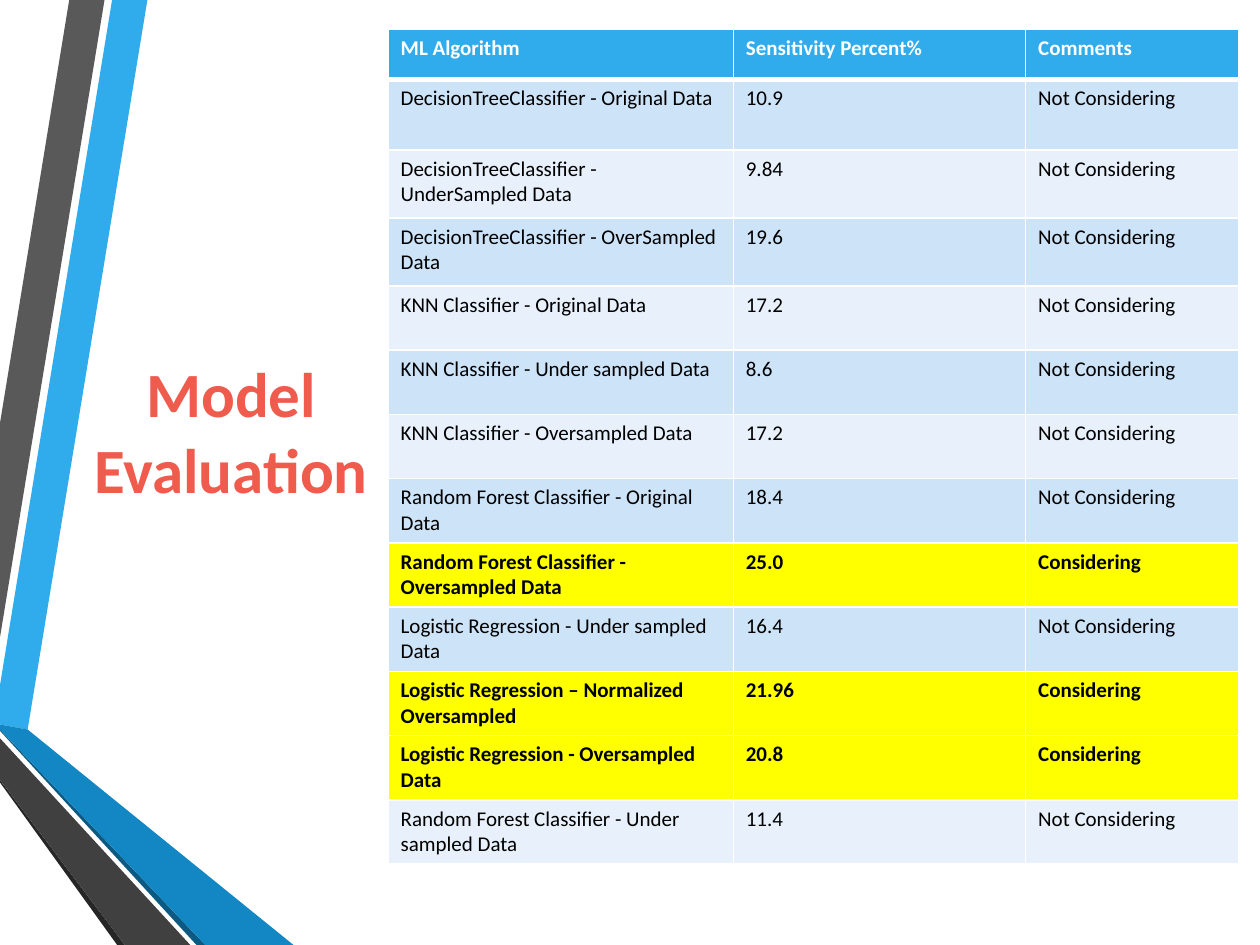
from dataclasses import dataclass
from typing import NamedTuple

from lxml.etree import SubElement
from pptx import Presentation
from pptx.dml.color import RGBColor
from pptx.enum.text import MSO_ANCHOR, PP_ALIGN
from pptx.oxml.ns import qn
from pptx.util import Inches, Pt


class Box(NamedTuple):
    left: float
    top: float
    width: float
    height: float


@dataclass(frozen=True)
class Theme:
    font: str = "Calibri"
    title_size: int = 36
    table_size: int = 12
    title: str = "EF5C4D"
    white: str = "FFFFFF"
    text: str = "000000"
    accent: str = "30ACEC"
    accent_dark: str = "1287C3"
    accent_shadow: str = "0C5A82"
    gray: str = "595959"
    gray_dark: str = "404040"
    gray_shadow: str = "262626"
    band_odd: str = "CDE3F8"
    band_even: str = "E8F1FB"
    highlight: str = "FFFF00"


THEME = Theme()
RIBBONS = [
    (THEME.accent, [(0, 5.44), (0, 5.75), (0.22, 5.79), (1.17, 0), (0.89, 0)]),
    (THEME.gray, [(0.83, 0), (0.55, 0), (0, 3.36), (0, 5.06)]),
    (THEME.gray_shadow, [(0, 6.19), (0, 6.21), (0.93, 7.5), (0.99, 7.5)]),
    (THEME.accent_shadow, [(0, 5.79), (0, 5.8), (1.56, 7.5), (1.63, 7.5)]),
    (THEME.accent_dark, [(0, 5.79), (1.63, 7.5), (2.33, 7.5), (0.22, 5.79), (0, 5.75)]),
    (THEME.gray_dark, [(0, 6.19), (0.99, 7.5), (1.51, 7.5), (0, 5.86)]),
]
HEADER = ("ML Algorithm", "Sensitivity Percent%", "Comments")
RESULTS = [
    ("DecisionTreeClassifier - Original Data", "10.9", False),
    ("DecisionTreeClassifier - UnderSampled Data", "9.84", False),
    ("DecisionTreeClassifier - OverSampled Data", "19.6", False),
    ("KNN Classifier - Original Data", "17.2", False),
    ("KNN Classifier - Under sampled Data", "8.6", False),
    ("KNN Classifier - Oversampled Data", "17.2", False),
    ("Random Forest Classifier - Original Data", "18.4", False),
    ("Random Forest Classifier - Oversampled Data", "25.0", True),
    ("Logistic Regression - Under sampled Data", "16.4", False),
    ("Logistic Regression – Normalized Oversampled", "21.96", True),
    ("Logistic Regression - Oversampled Data", "20.8", True),
    ("Random Forest Classifier - Under sampled Data", "11.4", False),
]
COLUMN_WIDTHS = (2.74, 2.32, 1.69)
ROW_HEIGHTS = [0.4, 0.56, 0.54, 0.54] + [0.51] * 9


def style_font(font, size, color, bold):
    """Apply the theme font with a size, colour and weight."""
    font.name = THEME.font
    font.size = Pt(size)
    font.bold = bold
    font.color.rgb = RGBColor.from_string(color)


def add_ribbons(slide, box):
    """Draw the folded ribbons from the top left corner of the box."""
    group = slide.shapes.add_group_shape()
    for color, points in RIBBONS:
        corners = [(Inches(box.left + x), Inches(box.top + y)) for x, y in points]
        builder = group.shapes.build_freeform(*corners[0])
        builder.add_line_segments(corners[1:], close=True)
        shape = builder.convert_to_shape()
        shape.shadow.inherit = False
        shape.fill.solid()
        shape.fill.fore_color.rgb = RGBColor.from_string(color)
        shape.line.fill.background()


def place_title(slide, box):
    """Move the title placeholder into the box and format it."""
    title = slide.shapes.title
    title.left, title.top, title.width, title.height = map(Inches, box)
    frame = title.text_frame
    frame.text = "Model Evaluation"
    frame.word_wrap = True
    frame.vertical_anchor = MSO_ANCHOR.MIDDLE
    paragraph = frame.paragraphs[0]
    paragraph.alignment = PP_ALIGN.CENTER
    style_font(paragraph.runs[0].font, THEME.title_size, THEME.title, True)


def set_borders(cell, top, bottom):
    """Give a cell white borders with the top and bottom widths in points."""
    properties = cell._tc.get_or_add_tcPr()
    for side, width in (("L", 1), ("R", 1), ("T", top), ("B", bottom)):
        line = SubElement(properties, qn(f"a:ln{side}"), w=str(Pt(width)))
        fill = SubElement(line, qn("a:solidFill"))
        SubElement(fill, qn("a:srgbClr"), val=THEME.white)


def row_style(index, considering):
    """Return the fill, text colour and weight of a table row."""
    if index == 0:
        return THEME.accent, THEME.white, True
    if considering:
        return THEME.highlight, THEME.text, True
    return (THEME.band_odd if index % 2 else THEME.band_even), THEME.text, False


def add_results_table(slide, box):
    """Fill the box with the table of algorithms and their sensitivity."""
    rows = [(HEADER, False)]
    for algorithm, sensitivity, considering in RESULTS:
        comment = "Considering" if considering else "Not Considering"
        rows.append(((algorithm, sensitivity, comment), considering))
    table = slide.shapes.add_table(len(rows), len(HEADER), *map(Inches, box)).table
    for column, width in zip(table.columns, COLUMN_WIDTHS):
        column.width = Inches(box.width * width / sum(COLUMN_WIDTHS))
    for row, height in zip(table.rows, ROW_HEIGHTS):
        row.height = Inches(box.height * height / sum(ROW_HEIGHTS))
    for index, (values, considering) in enumerate(rows):
        fill, color, bold = row_style(index, considering)
        for cell, value in zip(table.rows[index].cells, values):
            set_borders(cell, 3 if index == 1 else 1, 3 if index == 0 else 1)
            cell.fill.solid()
            cell.fill.fore_color.rgb = RGBColor.from_string(fill)
            cell.text_frame.text = value
            run = cell.text_frame.paragraphs[0].runs[0]
            style_font(run.font, THEME.table_size, color, bold)


def main():
    """Build the slide and save it."""
    presentation = Presentation()
    presentation.slide_width = Inches(10)
    presentation.slide_height = Inches(7.5)
    slide = presentation.slides.add_slide(presentation.slide_layouts[5])
    add_ribbons(slide, Box(0, 0, 2.33, 7.5))
    place_title(slide, Box(0.5, 2.67, 2.67, 1.49))
    add_results_table(slide, Box(3.08, 0.23, 6.75, 6.63))
    presentation.save("out.pptx")


if __name__ == "__main__":
    main()
